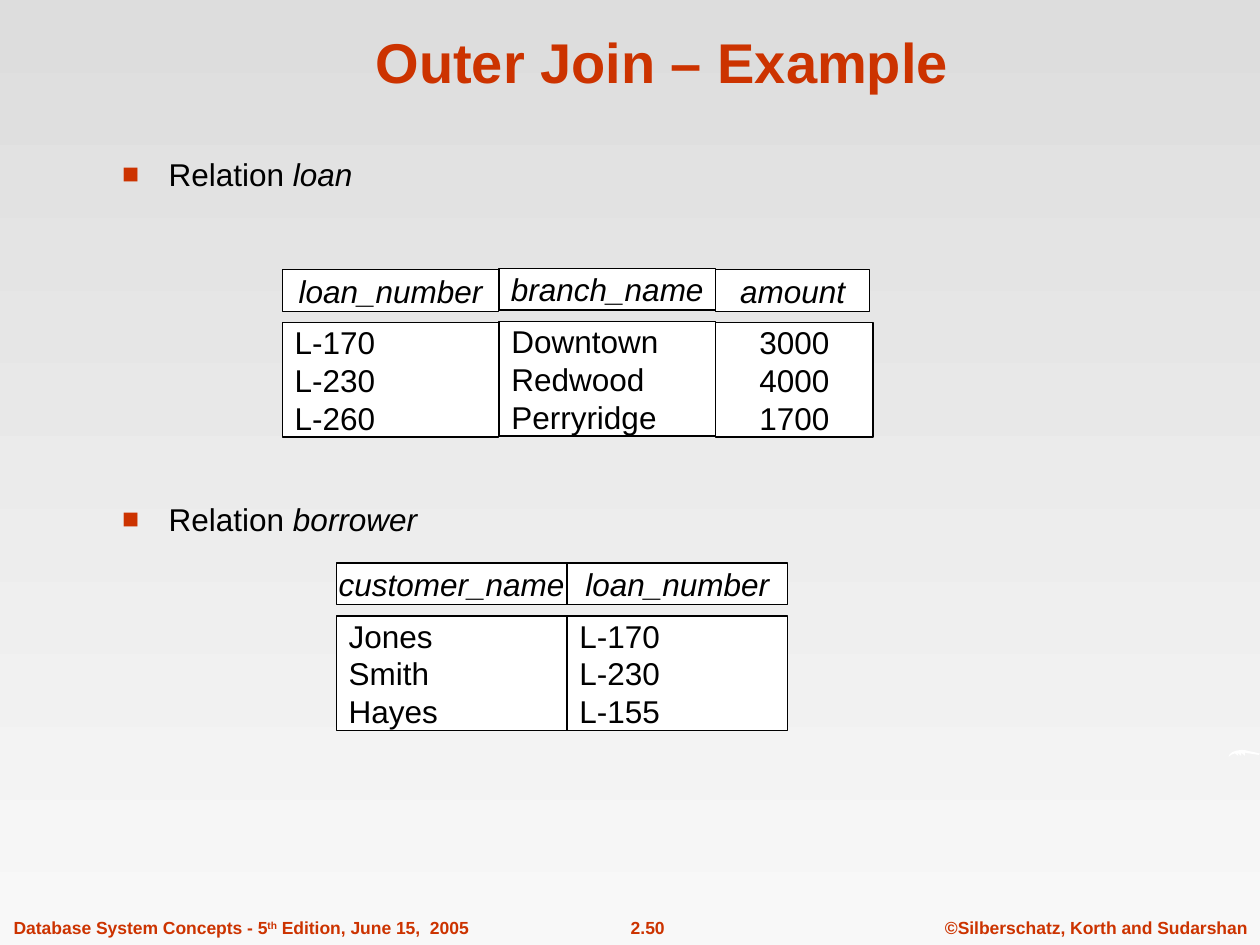
from lxml.etree import SubElement
from pptx import Presentation
from pptx.dml.color import RGBColor
from pptx.enum.shapes import MSO_SHAPE as Preset
from pptx.enum.text import MSO_ANCHOR as Anchor, MSO_AUTO_SIZE as AutoSize, PP_ALIGN as Align
from pptx.oxml.ns import qn
from pptx.util import Pt

ACCENT, BLACK, WHITE = "CC3300", "000000", "FFFFFF"
HEADER_HEIGHT, ROWS_HEIGHT, ROWS_OFFSET = 23.8, 65.5, 30.2

# Each column: left, top, header width, rows width, alignment of rows, name, values
LOAN = [
    (161.3, 154.1, 123.8, 123.8, Align.LEFT, "loan_number", ["L-170", "L-230", "L-260"]),
    (285.1, 153.4, 123.8, 123.8, Align.LEFT, "branch_name", ["Downtown", "Redwood", "Perryridge"]),
    (408.9, 154.1, 88.2, 90, Align.CENTER, "amount", ["3000", "4000", "1700"]),
]
BORROWER = [
    (192.2, 321.8, 131.8, 131.8, Align.LEFT, "customer_name", ["Jones", "Smith", "Hayes"]),
    (324, 321.8, 126, 126, Align.LEFT, "loan_number", ["L-170", "L-230", "L-155"]),
]
SWOOSH = [
    (702, 432.5), (702.7, 431), (704.2, 429.8), (706.3, 429), (709.2, 428.5),
    (711.4, 428.6), (714.2, 429.3), (717.1, 429.9), (720, 430.6), (719.3, 431.4),
    (716.4, 430.9), (713.5, 430.5), (711.4, 430.1), (711.4, 431.9), (709.2, 430.1),
    (709.2, 431.9), (707, 430.1), (707.6, 431.9), (705.6, 430.5), (703.8, 431.2),
]


def rgb(value):
    return RGBColor.from_string(value)


def lengths(*values):
    return [Pt(value) for value in values]


def place(shape, left, top, width, height):
    shape.left, shape.top, shape.width, shape.height = lengths(left, top, width, height)


def add_run(paragraph, text, size, color=BLACK, bold=False, italic=False):
    run = paragraph.add_run()
    run.text = text
    font = run.font
    font.name, font.size, font.bold, font.italic = "Arial", Pt(size), bold, italic
    font.color.rgb = rgb(color)
    return run


def set_background(slide):
    fill = slide.background.fill
    fill.gradient()
    fill.gradient_angle = 270
    for stop, color, position in zip(fill.gradient_stops, ("DDDDDD", "F8F8F8"), (0, 1)):
        stop.color.rgb = rgb(color)
        stop.position = position


def add_footer(slide, box, parts, alignment=Align.CENTER):
    """Add a one-line footer from (text, is superscript) parts."""
    frame = slide.shapes.add_textbox(*lengths(*box)).text_frame
    frame.word_wrap = False
    paragraph = frame.paragraphs[0]
    paragraph.alignment = alignment
    for text, superscript in parts:
        run = add_run(paragraph, text, 10, ACCENT, bold=True)
        if superscript:
            run.font._element.set("baseline", "30000")


def add_swoosh(slide):
    # Hundredths of a point keep the small outline smooth
    points = [(round(x * 100), round(y * 100)) for x, y in SWOOSH]
    builder = slide.shapes.build_freeform(*points[0], scale=Pt(1) / 100)
    builder.add_line_segments(points[1:], close=True)
    shape = builder.convert_to_shape()
    shape.shadow.inherit = False
    shape.fill.solid()
    shape.fill.fore_color.rgb = rgb(WHITE)
    shape.line.fill.background()


def fill_title(title, text):
    place(title, 60.5, 9.4, 635.8, 48.2)
    frame = title.text_frame
    frame.auto_size = AutoSize.NONE
    frame.vertical_anchor = Anchor.BOTTOM
    paragraph = frame.paragraphs[0]
    paragraph.alignment = Align.CENTER
    add_run(paragraph, text, 32, ACCENT, bold=True)


def add_square_bullet(paragraph):
    properties = paragraph._p.get_or_add_pPr()
    properties.set("marL", str(Pt(26.6)))
    properties.set("indent", str(-Pt(26.6)))
    color = SubElement(properties, qn("a:buClr"))
    SubElement(color, qn("a:srgbClr"), val=ACCENT)
    SubElement(properties, qn("a:buSzPct"), val="90000")
    SubElement(properties, qn("a:buFont"), typeface="Arial")
    SubElement(properties, qn("a:buChar"), char="■")


def fill_relation_heading(body, top, width, relation):
    place(body, 62.6, top, width, 38.2)
    frame = body.text_frame
    frame.auto_size = AutoSize.NONE
    paragraph = frame.paragraphs[0]
    add_square_bullet(paragraph)
    paragraph.space_before = Pt(0)
    add_run(paragraph, "Relation ", 18)
    add_run(paragraph, relation, 18, italic=True)


def add_cell(group, box, lines, alignment, italic=False):
    shape = group.shapes.add_shape(Preset.RECTANGLE, *lengths(*box))
    shape.shadow.inherit = False
    shape.fill.solid()
    shape.fill.fore_color.rgb = rgb(WHITE)
    shape.line.color.rgb = rgb(BLACK)
    shape.line.width = Pt(0.75)
    frame = shape.text_frame
    frame.word_wrap = False
    frame.vertical_anchor = Anchor.MIDDLE
    for index, line in enumerate(lines):
        paragraph = frame.add_paragraph() if index else frame.paragraphs[0]
        paragraph.alignment = alignment
        add_run(paragraph, line, 18, italic=italic)


def add_relation(slide, columns):
    """Draw each column as a header box with a box of values below it."""
    group = slide.shapes.add_group_shape()
    for left, top, header_width, rows_width, alignment, name, values in columns:
        add_cell(group, (left, top, header_width, HEADER_HEIGHT), [name], Align.CENTER, italic=True)
        add_cell(group, (left, top + ROWS_OFFSET, rows_width, ROWS_HEIGHT), values, alignment)


def main():
    presentation = Presentation()
    presentation.slide_width, presentation.slide_height = Pt(720), Pt(540)
    slide = presentation.slides.add_slide(presentation.slide_layouts[3])
    set_background(slide)

    add_footer(slide, (532.8, 520.6, 187.2, 19.4), [("©Silberschatz, Korth and Sudarshan", False)])
    add_footer(slide, (334.8, 520.6, 70.6, 19.4), [("2.50", False)])
    edition = [
        ("Database System Concepts - 5", False),
        ("th", True),
        (" Edition, June 15,  2005", False),
    ]
    add_footer(slide, (0.7, 520.6, 274.3, 19.4), edition, Align.LEFT)
    add_swoosh(slide)

    fill_title(slide.shapes.title, "Outer Join – Example")
    fill_relation_heading(slide.placeholders[1], 85, 540, "loan")
    fill_relation_heading(slide.placeholders[2], 282.2, 553.7, "borrower")
    add_relation(slide, BORROWER)
    add_relation(slide, LOAN)
    presentation.save("out.pptx")


if __name__ == "__main__":
    main()
